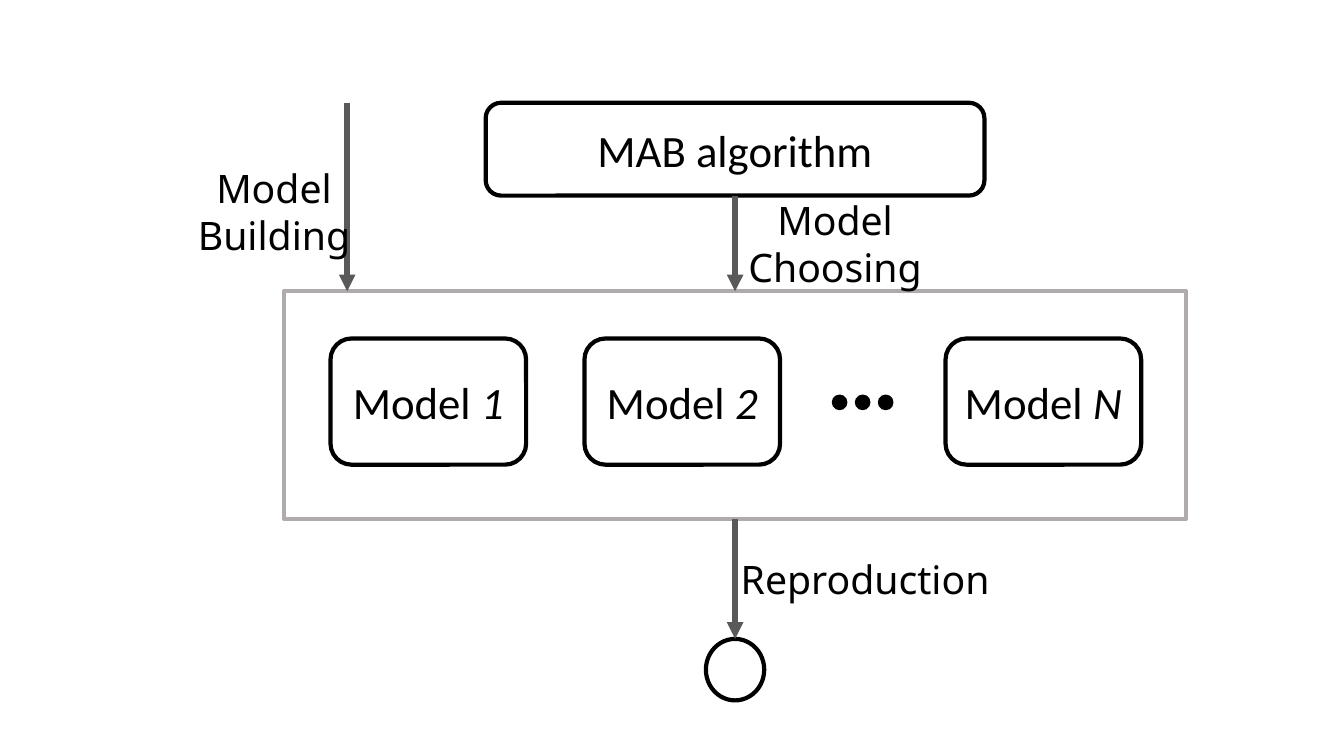
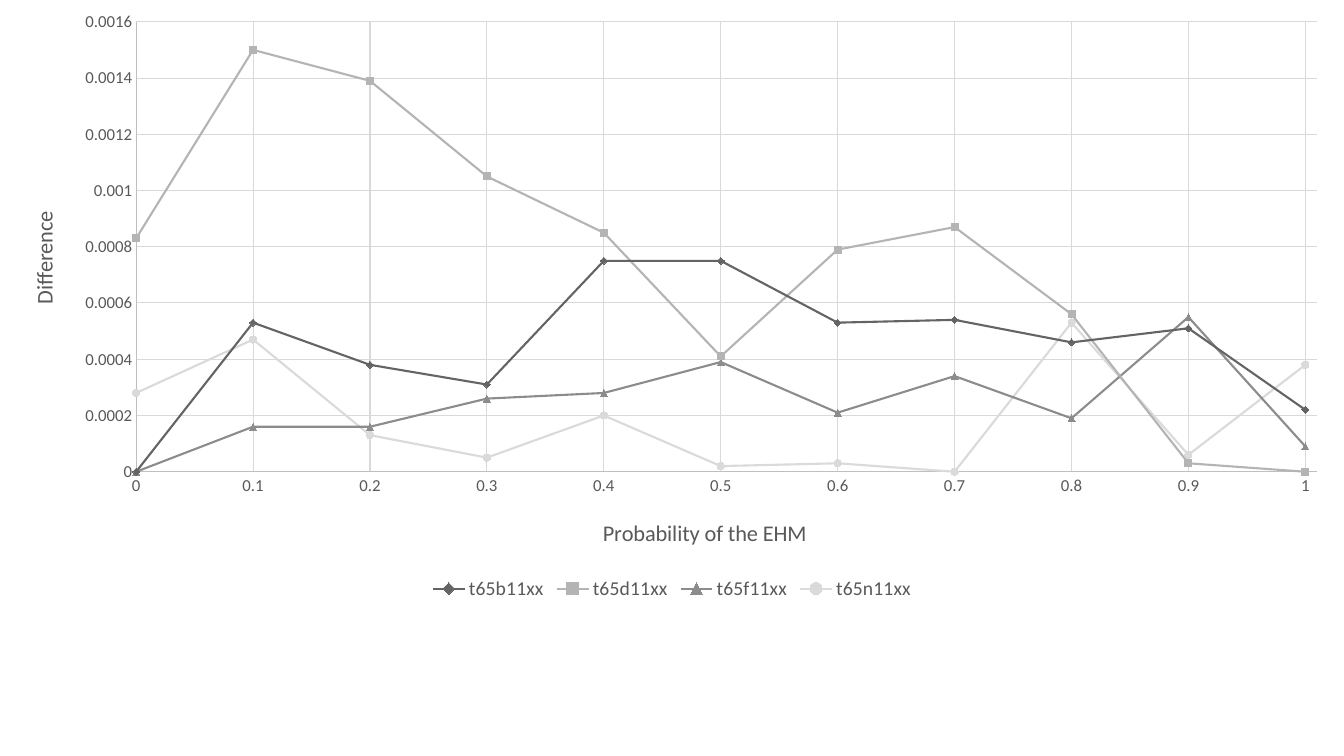
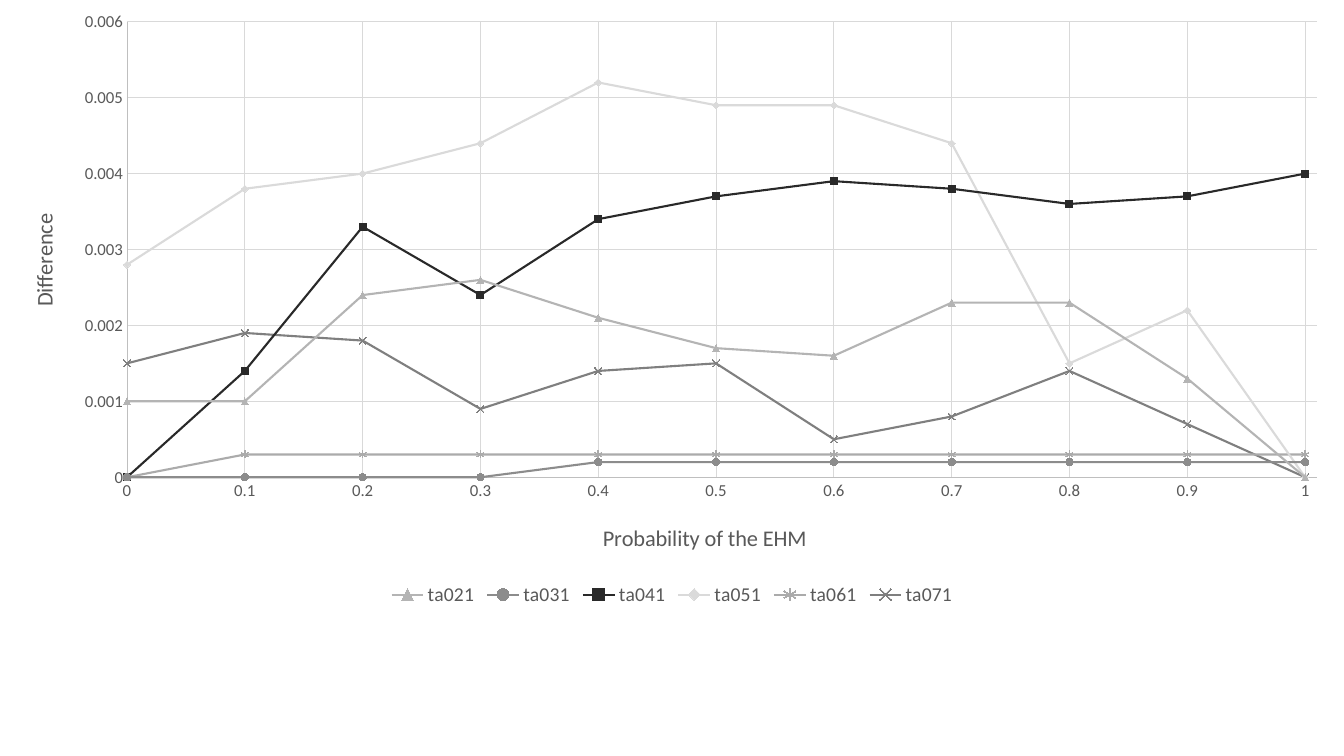
from dataclasses import dataclass

from lxml import etree
from pptx import Presentation
from pptx.chart.data import XyChartData
from pptx.dml.color import RGBColor as RGB
from pptx.enum.chart import XL_CHART_TYPE as CHART, XL_LEGEND_POSITION as LEGEND
from pptx.enum.chart import XL_MARKER_STYLE as MARK, XL_TICK_MARK as TICK
from pptx.enum.shapes import MSO_CONNECTOR as CONN, MSO_SHAPE as SHAPE
from pptx.enum.text import MSO_ANCHOR as ANCHOR, PP_ALIGN as ALIGN
from pptx.oxml.ns import qn
from pptx.util import Cm, Pt


@dataclass(frozen=True)
class Theme:
    ink: RGB = RGB(0, 0, 0)
    gray: RGB = RGB(0x59, 0x59, 0x59)
    frame: RGB = RGB(0xAF, 0xAB, 0xAB)
    axis: RGB = RGB(0xBF, 0xBF, 0xBF)
    grid: RGB = RGB(0xD9, 0xD9, 0xD9)
    font: str = "Calibri"
    label_font: str = "Noto Sans"
    box: Pt = Pt(32)
    label: Pt = Pt(28)
    title: Pt = Pt(16)
    legend: Pt = Pt(14)
    tick: Pt = Pt(12)
    outline: Pt = Pt(3)
    arrow: Pt = Pt(4)
    hairline: Pt = Pt(0.75)
    series: Pt = Pt(1.5)


T = Theme()
W, H = 33.87, 19.05

prs = Presentation()
prs.slide_width, prs.slide_height = Cm(W), Cm(H)
blank = prs.slide_layouts[6]


def add_box(s, kind, x, y, w, h, runs=(), line=T.ink):
    """Outlined shape; runs is a list of (text, italic)."""
    sp = s.shapes.add_shape(kind, Cm(x), Cm(y), Cm(w), Cm(h))
    sp.shadow.inherit = False
    sp.fill.background()
    sp.line.color.rgb = line
    sp.line.width = T.outline
    tf = sp.text_frame
    tf.vertical_anchor = ANCHOR.MIDDLE
    p = tf.paragraphs[0]
    p.alignment = ALIGN.CENTER
    for text, italic in runs:
        r = p.add_run()
        r.text = text
        r.font.name, r.font.size, r.font.italic = T.font, T.box, italic
        r.font.color.rgb = T.ink
    return sp


def set_layout(el, index, size, **place):
    """Place a chart part at lengths in cm, stored as shares of the chart."""
    for old in el.findall(qn("c:layout")):
        el.remove(old)
    layout = etree.Element(qn("c:layout"))
    manual = etree.SubElement(layout, qn("c:manualLayout"))
    if "w" in place:
        etree.SubElement(manual, qn("c:layoutTarget")).set("val", "inner")
    for mode in ("xMode", "yMode"):
        etree.SubElement(manual, qn("c:" + mode)).set("val", "edge")
    for key, cm in place.items():
        share = cm / size[key in "yh"]
        etree.SubElement(manual, qn("c:" + key)).set("val", f"{share:.4f}")
    el.insert(index, layout)


# Slide 1: model diagram
s = prs.slides.add_slide(blank)
frame = add_box(s, SHAPE.RECTANGLE, 7.16, 7.34, 22.73, 5.74, line=T.frame)
mab = add_box(s, SHAPE.ROUNDED_RECTANGLE, 12.24, 2.59, 12.57, 2.34,
              [("MAB algorithm", False)])
result = add_box(s, SHAPE.OVAL, 17.79, 16.1, 1.47, 1.55)
for x, name in ((8.33, "1"), (14.73, "2"), (23.83, "N")):
    add_box(s, SHAPE.ROUNDED_RECTANGLE, x, 8.53, 4.93, 3.18,
            [("Model ", False), (name, True)])

# Ellipsis dots
for i in range(3):
    dot = add_box(s, SHAPE.OVAL, 20.98 + 0.58 * i, 9.96, 0.36, 0.36)
    dot.fill.solid()
    dot.fill.fore_color.rgb = T.ink
    dot.line.width = Pt(1)

# Arrows: the first stands free, the others join two shapes
for start, end in ((None, None), (mab, frame), (frame, result)):
    c = s.shapes.add_connector(CONN.STRAIGHT, Cm(8.75), Cm(2.59), Cm(8.75), Cm(7.34))
    if start is not None:
        c.begin_connect(start, 2)
        c.end_connect(end, 0)
    c.line.color.rgb = T.gray
    c.line.width = T.arrow
    etree.SubElement(c.line._get_or_add_ln(), qn("a:tailEnd")).set("type", "triangle")
    etree.SubElement(c._element.spPr, qn("a:effectLst"))

# Arrow labels
for x, y, w, h, lines in (
    (4.72, 4.01, 4.37, 2.64, ["Model", "Building"]),
    (16.84, 4.83, 8.41, 2.64, ["Model", "Choosing"]),
    (18.36, 13.87, 6.88, 1.45, ["Reproduction"]),
):
    tf = s.shapes.add_textbox(Cm(x), Cm(y), Cm(w), Cm(h)).text_frame
    tf.word_wrap = True
    for i, text in enumerate(lines):
        p = tf.add_paragraph() if i else tf.paragraphs[0]
        p.alignment = ALIGN.CENTER
        r = p.add_run()
        r.text = text
        r.font.name, r.font.size = T.label_font, T.label
        r.font.color.rgb = T.ink

# Slides 2 and 3: chart height, plot left and height, top of scale, step, series
charts = [
    (15.24, 3.43, 11.34, 0.0016, 0.0002, [
        ("t65b11xx", "646464", MARK.DIAMOND,
         [0, 0.00053, 0.00038, 0.00031, 0.00075, 0.00075, 0.00053, 0.00054,
          0.00046, 0.00051, 0.00022]),
        ("t65d11xx", "B4B4B4", MARK.SQUARE,
         [0.00083, 0.0015, 0.00139, 0.00105, 0.00085, 0.00041, 0.00079, 0.00087,
          0.00056, 0.00003, 0]),
        ("t65f11xx", "8C8C8C", MARK.TRIANGLE,
         [0, 0.00016, 0.00016, 0.00026, 0.00028, 0.00039, 0.00021, 0.00034,
          0.00019, 0.00055, 0.00009]),
        ("t65n11xx", "DADADA", MARK.CIRCLE,
         [0.00028, 0.00047, 0.00013, 0.00005, 0.0002, 0.00002, 0.00003, 0,
          0.00053, 0.00006, 0.00038]),
    ]),
    (15.39, 3.2, 11.48, 0.006, 0.001, [
        ("ta021", "B4B4B4", MARK.TRIANGLE,
         [0.001, 0.001, 0.0024, 0.0026, 0.0021, 0.0017, 0.0016, 0.0023, 0.0023,
          0.0013, 0]),
        ("ta031", "8C8C8C", MARK.CIRCLE, [0] * 4 + [0.0002] * 7),
        ("ta041", "292929", MARK.SQUARE,
         [0, 0.0014, 0.0033, 0.0024, 0.0034, 0.0037, 0.0039, 0.0038, 0.0036,
          0.0037, 0.004]),
        ("ta051", "DADADA", MARK.DIAMOND,
         [0.0028, 0.0038, 0.004, 0.0044, 0.0052, 0.0049, 0.0049, 0.0044, 0.0015,
          0.0022, 0]),
        ("ta061", "ABABAB", MARK.STAR, [0] + [0.0003] * 10),
        ("ta071", "7F7F7F", MARK.X,
         [0.0015, 0.0019, 0.0018, 0.0009, 0.0014, 0.0015, 0.0005, 0.0008, 0.0014,
          0.0007, 0]),
    ]),
]
PLOT_TOP, PLOT_RIGHT = 0.55, 33.19

for height, left, plot_h, top, step, rows in charts:
    s = prs.slides.add_slide(blank)
    data = XyChartData()
    for name, _, _, values in rows:
        points = data.add_series(name)
        for i, value in enumerate(values):
            points.add_data_point(i / 10, value)
    chart = s.shapes.add_chart(CHART.XY_SCATTER_LINES, 0, 0, Cm(W), Cm(height),
                               data).chart
    chart.has_title = False
    chart.font.name, chart.font.size = T.font, Pt(10)
    chart.font.color.rgb = T.ink
    plot = chart.plots[0]
    plot.vary_by_categories = False

    # Series
    for ser, (_, color, mark, _) in zip(plot.series, rows):
        rgb = RGB.from_string(color)
        ser.format.line.color.rgb = rgb
        ser.format.line.width = T.series
        ser.marker.style, ser.marker.size = mark, 5
        ser.marker.format.line.color.rgb = rgb
        if mark in (MARK.STAR, MARK.X):
            ser.marker.format.fill.background()
        else:
            ser.marker.format.fill.solid()
            ser.marker.format.fill.fore_color.rgb = rgb

    # Legend
    chart.has_legend = True
    chart.legend.position = LEGEND.BOTTOM
    chart.legend.include_in_layout = False
    chart.legend.font.name, chart.legend.font.size = T.font, T.legend
    chart.legend.font.color.rgb = T.gray

    # Axes, each with its title's place
    size = (W, height)
    for ax, text, high, unit, x, y, turn in (
        (chart.category_axis, "Probability of the EHM", 1.01, 0.1,
         15.09, PLOT_TOP + plot_h + 1.05, 0),
        (chart.value_axis, "Difference", top, step,
         0.63, PLOT_TOP + plot_h / 2 - 1, -90),
    ):
        ax.minimum_scale, ax.maximum_scale, ax.major_unit = 0, high, unit
        ax.major_tick_mark = ax.minor_tick_mark = TICK.NONE
        ax.tick_labels.font.name, ax.tick_labels.font.size = T.font, T.tick
        ax.tick_labels.font.color.rgb = T.gray
        ax.tick_labels.number_format = "General"
        ax.tick_labels.number_format_is_linked = False
        ax.has_major_gridlines = True
        for line, rgb in ((ax.format.line, T.axis),
                          (ax.major_gridlines.format.line, T.grid)):
            line.color.rgb = rgb
            line.width = T.hairline
        r = ax.axis_title.text_frame.paragraphs[0].add_run()
        r.text = text
        r.font.name, r.font.size, r.font.bold = T.font, T.title, False
        r.font.color.rgb = T.gray
        title = ax.axis_title._element
        title.find(".//" + qn("a:bodyPr")).set("rot", str(turn * 60000))
        set_layout(title, 1, size, x=x, y=y)

    plot_area = chart._chartSpace.find(".//" + qn("c:plotArea"))
    set_layout(plot_area, 0, size, x=left, y=PLOT_TOP, w=PLOT_RIGHT - left, h=plot_h)

prs.save("out.pptx")
